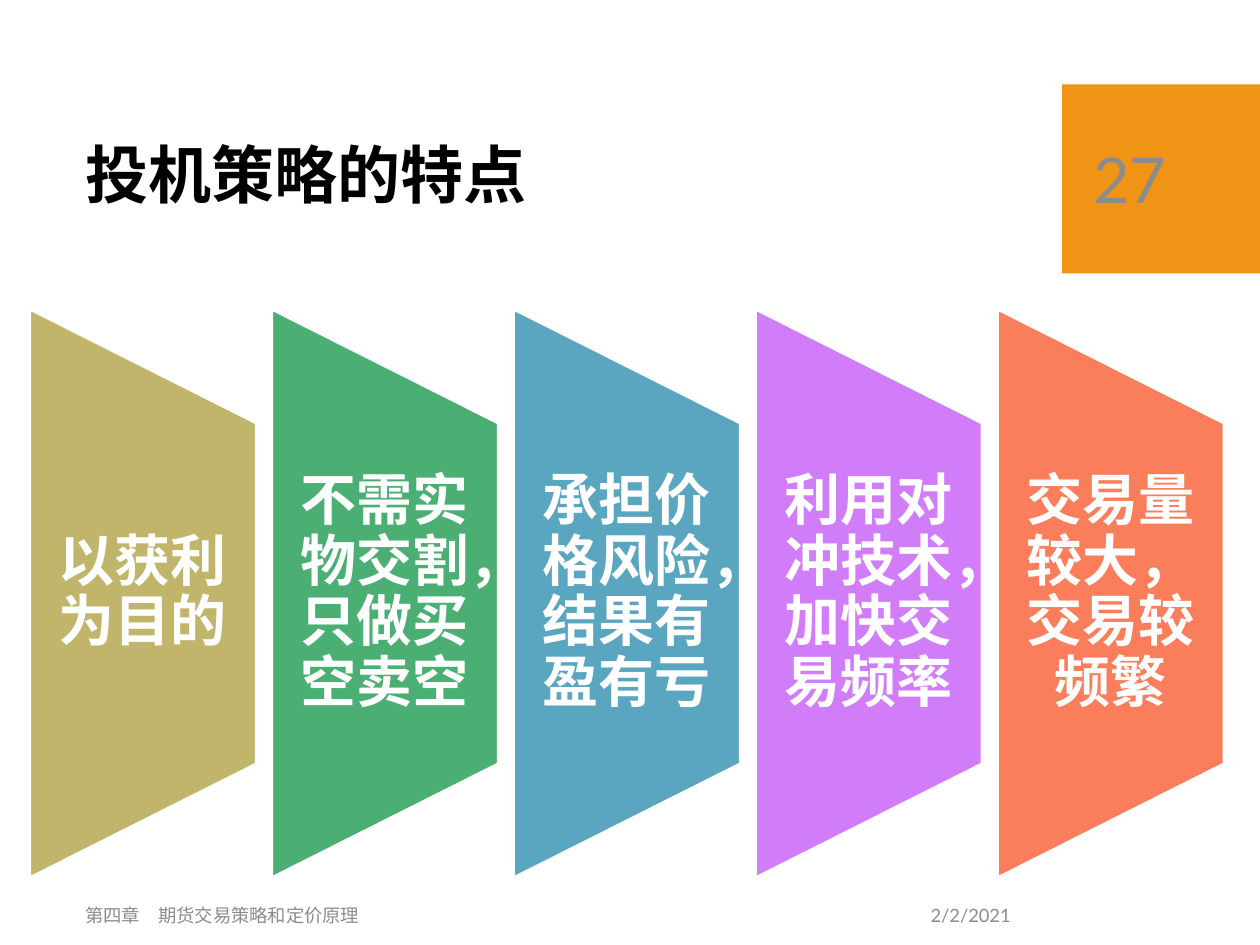
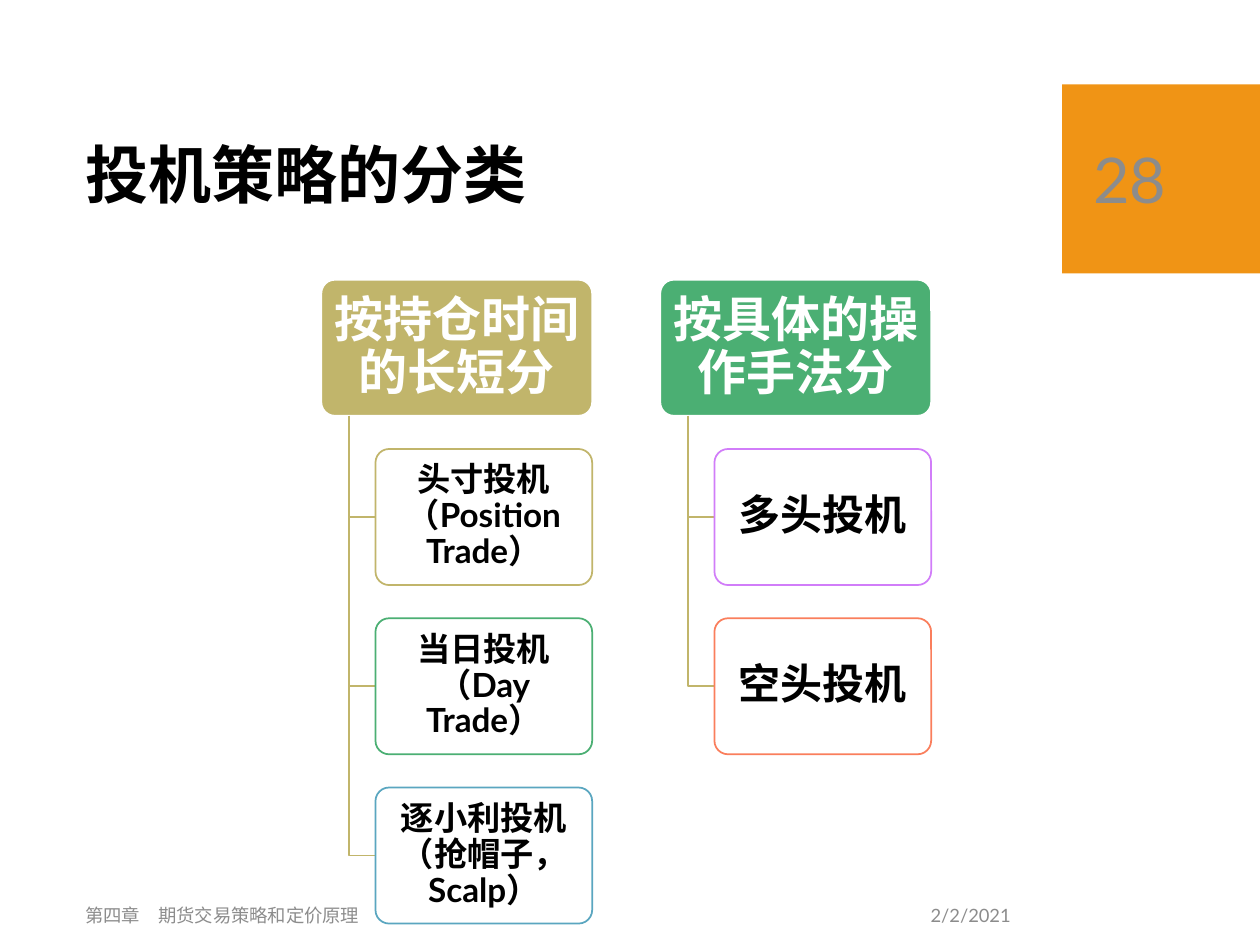
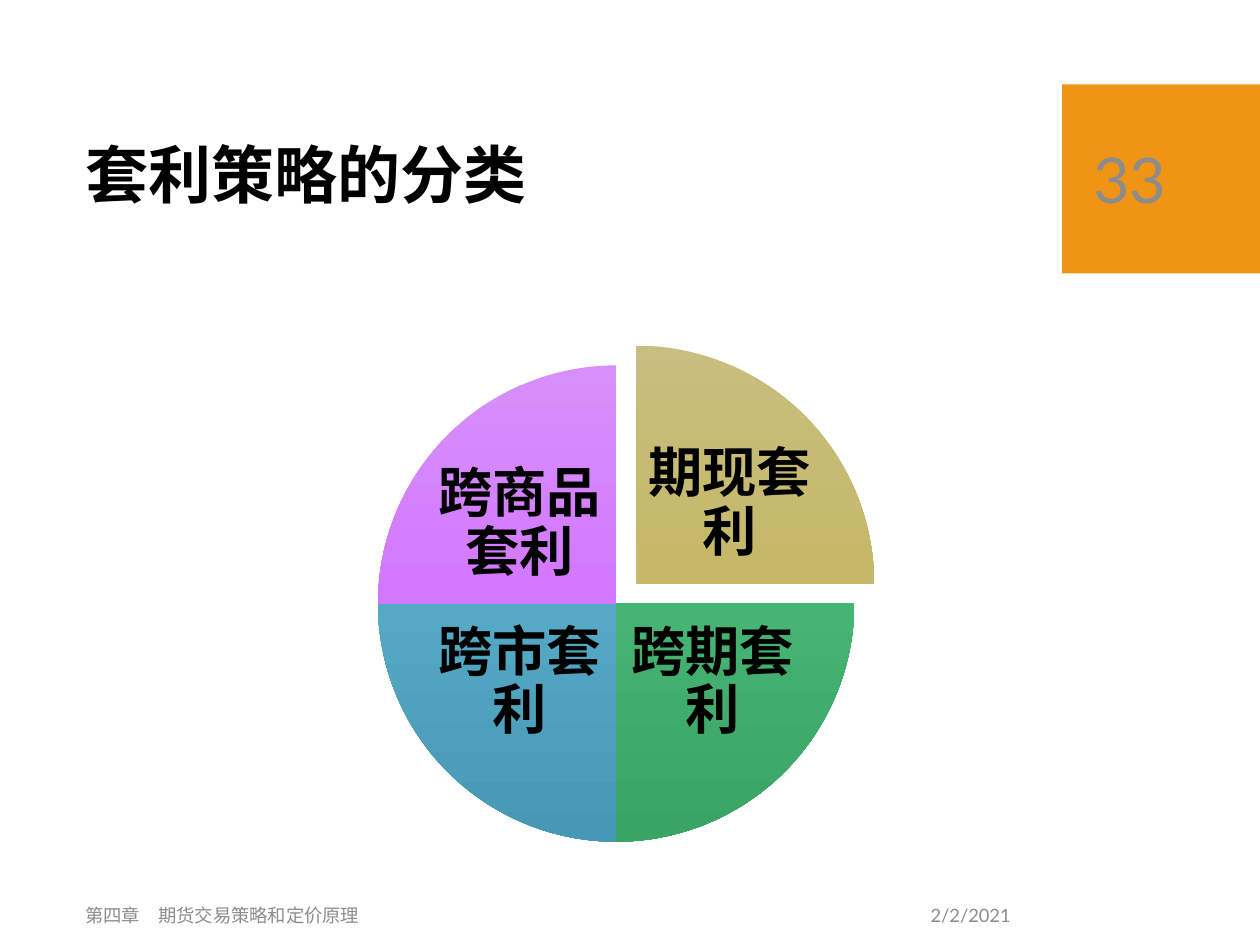
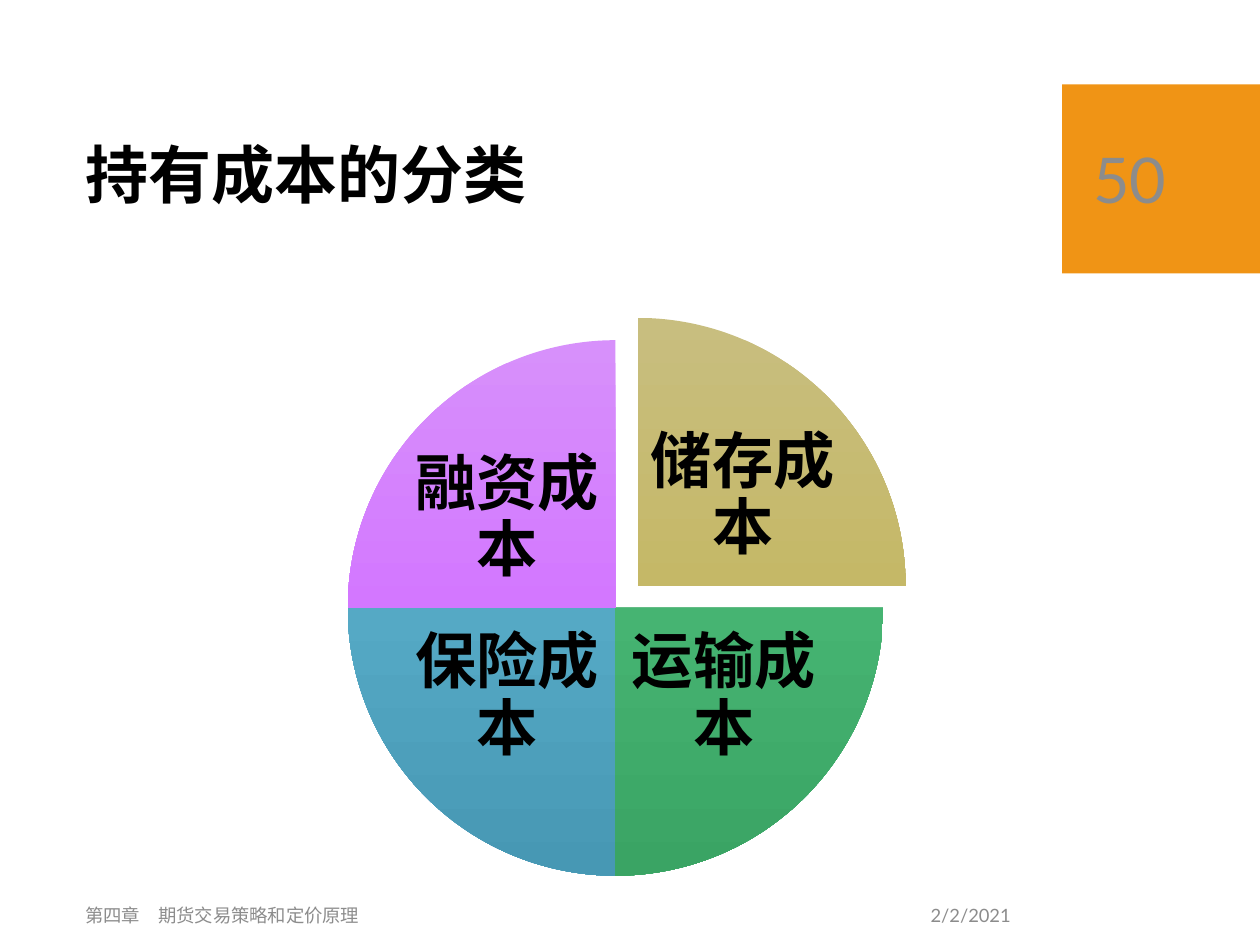
from copy import deepcopy

from lxml.etree import SubElement
from pptx import Presentation
from pptx.dml.color import RGBColor as Rgb
from pptx.enum.lang import MSO_LANGUAGE_ID as Lang
from pptx.enum.shapes import MSO_SHAPE as Kind
from pptx.enum.text import MSO_ANCHOR as Anchor, PP_ALIGN as Align
from pptx.oxml.ns import qn
from pptx.util import Inches, Pt

WHITE = Rgb(0xFF, 0xFF, 0xFF)
BLACK = Rgb(0, 0, 0)
GRAY = Rgb(0x8C, 0x8C, 0x8C)
ORANGE = Rgb(0xF0, 0x94, 0x15)
SAND = Rgb(0xC1, 0xB5, 0x6B)
GREEN = Rgb(0x4B, 0xAF, 0x73)
BLUE = Rgb(0x5A, 0xA6, 0xC0)
VIOLET = Rgb(0xD1, 0x7D, 0xF9)
CORAL = Rgb(0xFA, 0x7E, 0x5C)
HUES = [SAND, GREEN, BLUE, VIOLET, CORAL]

# Top, middle and bottom colour of each pie slice
SHADES = [
    [Rgb(0xC8, 0xBE, 0x7F), Rgb(0xC5, 0xB8, 0x67), Rgb(0xB4, 0xA7, 0x56)],
    [Rgb(0x67, 0xB8, 0x84), Rgb(0x46, 0xB4, 0x72), Rgb(0x3A, 0xA4, 0x64)],
    [Rgb(0x71, 0xB0, 0xC8), Rgb(0x55, 0xA9, 0xC5), Rgb(0x47, 0x98, 0xB4)],
    [Rgb(0xD7, 0x90, 0xFB), Rgb(0xD3, 0x77, 0xFF), Rgb(0xBE, 0x62, 0xEA)],
]


class Deck:
    font = "Lato"
    chapter = "第四章　期货交易策略和定价原理"
    date = "2/2/2021"

    def __init__(self):
        self.prs = Presentation()
        self.prs.slide_width = Inches(10)
        self.prs.slide_height = Inches(7.5)

    def page(self, title, number):
        """Start a slide with its title, number block and footer."""
        self.slide = self.prs.slides.add_slide(self.prs.slide_layouts[6])
        self.shape(Kind.RECTANGLE, (8.43, 0.67, 1.57, 1.5), ORANGE)
        self.text((0.58, 0.82, 7.54, 1.18), title, 36, bold=True, space=0.9)
        self.text((5.87, 7.06, 2.25, 0.4), self.date, 10.5, GRAY, Align.RIGHT)
        self.text((0.58, 7.06, 5.29, 0.4), self.chapter, 10.5, GRAY)
        self.text((8.58, 0.82, 1.27, 1.19), number, 36, GRAY)

    def shape(self, kind, area, fill=None, line=None):
        item = self.slide.shapes.add_shape(kind, *map(Inches, area))
        item.shadow.inherit = False
        if fill is not None:
            item.fill.solid()
            item.fill.fore_color.rgb = fill
        self.edge(item, line)
        return item

    def edge(self, item, color):
        if color is None:
            item.line.fill.background()
        else:
            item.line.color.rgb = color
            item.line.width = Pt(1)

    def letter(self, item, words, size, color=BLACK, align=Align.LEFT,
               bold=False, space=1.0, inset=(0.1, 0.05)):
        """Set and format the text of a shape or text box."""
        frame = item.text_frame
        frame.word_wrap = True
        frame.vertical_anchor = Anchor.MIDDLE
        frame.margin_left = frame.margin_right = Inches(inset[0])
        frame.margin_top = frame.margin_bottom = Inches(inset[1])
        frame.text = words
        para = frame.paragraphs[0]
        para.alignment = align
        para.line_spacing = space
        for run in para.runs:
            run.font.name = self.font
            run.font.size = Pt(size)
            run.font.bold = bold
            run.font.color.rgb = color
            run.font.language_id = Lang.SIMPLIFIED_CHINESE

    def text(self, area, words, size, *args, **style):
        item = self.slide.shapes.add_textbox(*map(Inches, area))
        self.letter(item, words, size, *args, **style)

    def label(self, area, words, size, color=BLACK, inset=(0.04, 0.04)):
        self.text(area, words, size, color, Align.CENTER, True, 0.9, inset)

    def panel(self, left, words, fill):
        """Draw a trapezoid, turned on its side, with upright text."""
        top, wide, high = 2.46, 1.79, 4.5
        turn = (high - wide) / 2
        item = self.shape(Kind.FLOWCHART_MANUAL_OPERATION,
                          (left - turn, top + turn, high, wide), fill, WHITE)
        item.rotation = 270
        self.label((left, 3.36, wide, 2.7), words, 32, WHITE, (0.22, 0))

    def box(self, area, words, size, fill, line, color, inset):
        item = self.shape(Kind.ROUNDED_RECTANGLE, area, fill, line)
        item.adjustments[0] = 0.1
        self.letter(item, words, size, color, Align.CENTER, True, 0.9, inset)
        return item

    def elbow(self, left, top, right, low):
        pen = self.slide.shapes.build_freeform(Inches(left), Inches(top))
        ends = [(left, low), (right, low)]
        pen.add_line_segments([(Inches(x), Inches(y)) for x, y in ends], close=False)
        item = pen.convert_to_shape()
        item.shadow.inherit = False
        item.fill.background()
        self.edge(item, SAND)

    def branch(self, left, head, fill, leaves, size):
        """Draw a heading with (text, outline) boxes hanging below it."""
        top, high, step = 2.22, 1.08, 4.03 / 3
        self.box((left, top, 2.15, high), head, 28, fill, WHITE, WHITE, (0.06, 0.04))
        for row, (words, hue) in enumerate(leaves, 1):
            x, y = left + 0.43, top + row * step
            self.elbow(left + 0.22, top + high, x, y + high / 2)
            leaf = self.box((x, y, 1.72, high), words, size, WHITE, hue,
                            BLACK, (0.04, 0.03))
            tint = leaf._element.spPr.find(qn("a:solidFill")).find(qn("a:srgbClr"))
            SubElement(tint, qn("a:alpha")).set("val", "90000")

    def shade(self, item, colors):
        """Fill from top to bottom with three evenly spaced colours."""
        fill = item.fill
        fill.gradient()
        fill.gradient_angle = 270
        stops = item._element.spPr.find(qn("a:gradFill")).find(qn("a:gsLst"))
        stops.append(deepcopy(stops[-1]))
        for i, (stop, color) in enumerate(zip(fill.gradient_stops, colors)):
            stop.position = i / 2
            stop.color.rgb = color

    def pie(self, left, top, size, names, points):
        """Draw four quarters clockwise from the top, the first pulled out."""
        unit = size / 84
        pull = 3.5 * unit
        spots = [(46.5, 12), (43.5, 43.5), (9.5, 43.5), (9.5, 15.5)]
        starts = [162, 0, 54, 108]
        for i, (name, (x, y)) in enumerate(zip(names, spots)):
            shift = 0 if i else pull
            item = self.shape(Kind.PIE, (left + shift, top - shift, size, size))
            item.adjustments[0] = starts[i]
            item.adjustments[1] = starts[(i + 1) % 4]
            self.shade(item, SHADES[i])
            self.label((left + x * unit, top + y * unit, 31 * unit, 25 * unit),
                       name, points)


def main():
    deck = Deck()

    deck.page("投机策略的特点", "27")
    traits = ["以获利为目的", "不需实物交割，只做买空卖空", "承担价格风险，结果有盈有亏",
              "利用对冲技术，加快交易频率", "交易量较大，交易较频繁"]
    for i, (words, hue) in enumerate(zip(traits, HUES)):
        deck.panel(0.24 + 1.92 * i, words, hue)

    deck.page("投机策略的分类", "28")
    terms = [("头寸投机（Position Trade）", SAND), ("当日投机（Day Trade）", GREEN),
             ("逐小利投机（抢帽子，Scalp）", BLUE)]
    sides = [("多头投机", VIOLET), ("空头投机", CORAL)]
    deck.branch(2.55, "按持仓时间的长短分", SAND, terms, 19)
    deck.branch(5.24, "按具体的操作手法分", GREEN, sides, 24)

    deck.page("套利策略的分类", "33")
    deck.pie(3, 2.9, 3.78, ["期现套利", "跨期套利", "跨市套利", "跨商品套利"], 31)

    deck.page("持有成本的分类", "50")
    deck.pie(2.76, 2.7, 4.25, ["储存成本", "运输成本", "保险成本", "融资成本"], 35)

    deck.prs.save("out.pptx")


if __name__ == "__main__":
    main()
